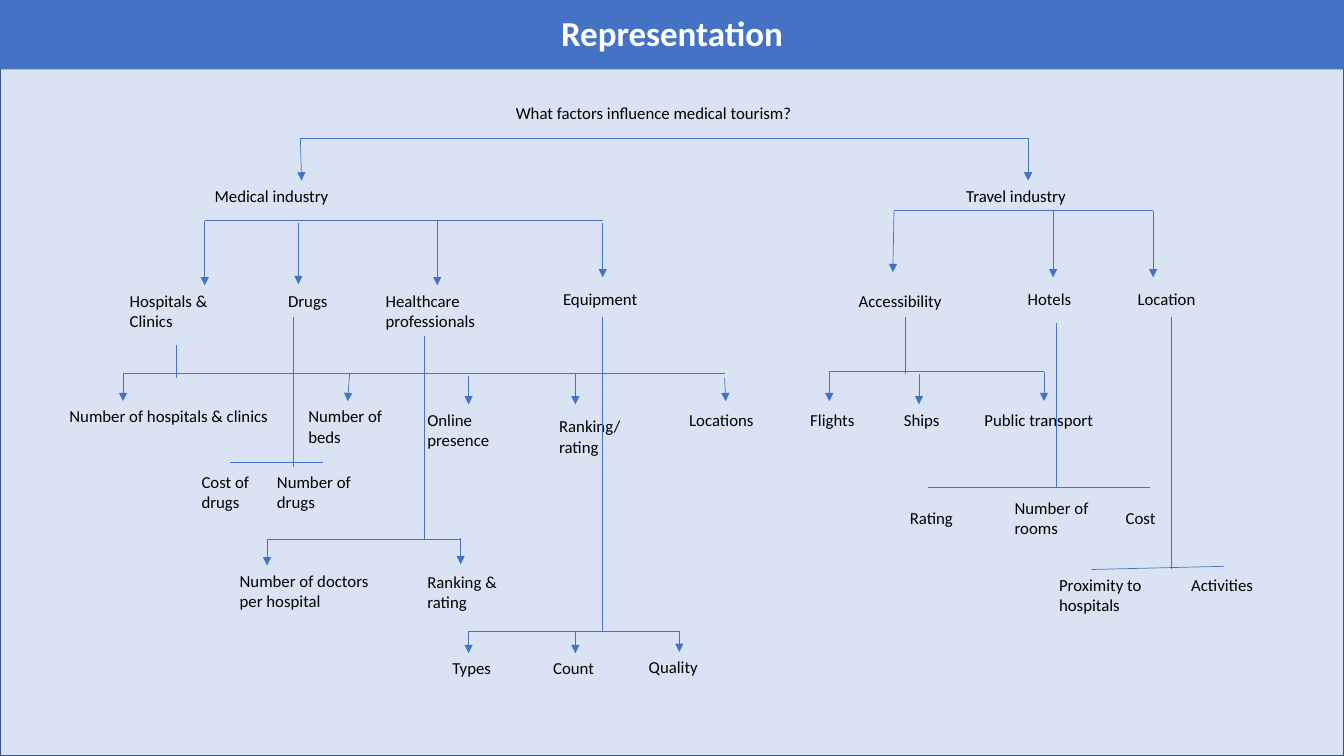
from dataclasses import dataclass
from typing import NamedTuple

from lxml.etree import SubElement
from pptx import Presentation
from pptx.dml.color import RGBColor
from pptx.enum.shapes import MSO_CONNECTOR as Connector, MSO_SHAPE as Preset
from pptx.enum.text import MSO_ANCHOR as Anchor, MSO_AUTO_SIZE as AutoSize, PP_ALIGN as Align
from pptx.oxml.ns import qn
from pptx.util import Cm, Pt


@dataclass(frozen=True)
class Theme:
    font: str = "Calibri"
    title_size: float = 25
    label_size: float = 12
    line_width: float = 0.5
    border_width: float = 1
    accent: str = "4472C4"
    backdrop: str = "DAE3F3"
    border: str = "325491"
    light: str = "FFFFFF"
    dark: str = "000000"


class Label(NamedTuple):
    text: str
    left: float
    top: float
    width: float
    rows: int = 1


class Line(NamedTuple):
    x1: float
    y1: float
    x2: float
    y2: float
    target: str = ""


class Branch(NamedTuple):
    rail: Line
    stem: Line | None = None
    arrows: tuple[Line, ...] = ()


THEME = Theme()
SLIDE_WIDTH, SLIDE_HEIGHT, TITLE_HEIGHT = 33.87, 19.05, 1.75
LABEL_HEIGHTS = {1: 0.76, 2: 1.27}

LABELS = (
    # Question and its two industries
    Label("What factors influence medical tourism?", 12.75, 2.46, 11.07),
    Label("Medical industry", 5.16, 4.55, 4.88),
    Label("Travel industry", 24.1, 4.55, 4.88),
    # Medical factors
    Label("Hospitals & Clinics", 3.02, 7.19, 3.51, 2),
    Label("Drugs", 7.01, 7.19, 2.26),
    Label("Healthcare professionals", 9.47, 7.19, 4.34, 2),
    Label("Equipment", 13.94, 7.16, 3.35),
    # Hospital measures
    Label("Number of hospitals & clinics", 1.5, 10.11, 5.89),
    Label("Number of beds", 7.52, 10.11, 2.84, 2),
    Label("Online presence", 10.52, 10.19, 3.18, 2),
    Label("Ranking/rating", 13.84, 10.36, 2.18, 2),
    Label("Locations", 17.12, 10.19, 2.74),
    # Drug, staff and equipment measures
    Label("Cost of drugs", 4.83, 11.76, 1.88, 2),
    Label("Number of drugs", 6.73, 11.76, 2.84, 2),
    Label("Number of doctors per hospital", 5.79, 14.25, 3.78, 2),
    Label("Ranking & rating", 10.52, 14.27, 3.18, 2),
    Label("Types", 11.15, 16.46, 1.98),
    Label("Count", 13.69, 16.46, 2.39),
    Label("Quality", 16.1, 16.43, 2.39),
    # Travel factors
    Label("Accessibility", 21.39, 7.19, 4.04),
    Label("Hotels", 25.65, 7.16, 2.29),
    Label("Location", 28.42, 7.16, 3),
    # Travel measures
    Label("Flights", 20.17, 10.21, 2.36),
    Label("Ships", 22.53, 10.21, 2.36),
    Label("Public transport", 24.56, 10.21, 3.4),
    Label("Rating", 22.68, 12.67, 2.97),
    Label("Number of rooms", 25.32, 12.42, 2.92, 2),
    Label("Cost", 28.12, 12.67, 1.83),
    Label("Proximity to hospitals", 26.44, 14.35, 3.07, 2),
    Label("Activities", 29.77, 14.35, 3.07),
)

BRANCHES = (
    # Question
    Branch(Line(7.57, 3.48, 25.91, 3.48), arrows=(
        Line(7.57, 3.48, 7.57, 4.55, "Medical industry"),
        Line(25.91, 3.48, 25.91, 4.55))),
    # Medical industry
    Branch(Line(5.16, 5.56, 15.19, 5.56), arrows=(
        Line(5.16, 5.56, 5.16, 7.19), Line(7.52, 5.61, 7.52, 7.16),
        Line(11.02, 5.56, 11.02, 7.19), Line(15.19, 5.61, 15.19, 6.99))),
    # Hospitals & Clinics
    Branch(Line(18.26, 9.42, 3.1, 9.42), Line(4.45, 8.69, 4.45, 9.53), (
        Line(3.1, 9.42, 3.1, 10.11), Line(8.81, 9.42, 8.76, 10.11),
        Line(11.81, 9.47, 11.81, 10.19), Line(14.5, 9.42, 14.5, 10.19),
        Line(18.26, 9.53, 18.29, 10.11))),
    # Drugs
    Branch(Line(5.79, 11.66, 8.15, 11.66), Line(7.39, 7.98, 7.39, 11.76)),
    # Healthcare professionals
    Branch(Line(6.73, 13.59, 11.63, 13.59), Line(10.69, 8.46, 10.69, 13.59), (
        Line(6.73, 13.59, 6.73, 14.25), Line(11.61, 13.56, 11.61, 14.22))),
    # Equipment
    Branch(Line(11.81, 15.9, 17.12, 15.9), Line(15.19, 8, 15.19, 15.9), (
        Line(11.81, 15.9, 11.81, 16.46), Line(14.5, 15.9, 14.5, 16.46),
        Line(17.12, 15.9, 17.12, 16.43))),
    # Travel industry
    Branch(Line(22.53, 5.31, 29.06, 5.31), arrows=(
        Line(22.53, 5.31, 22.5, 6.86), Line(26.54, 5.31, 26.54, 6.99),
        Line(29.06, 5.31, 29.06, 6.99))),
    # Accessibility
    Branch(Line(20.9, 9.37, 26.31, 9.37), Line(22.81, 8, 22.81, 9.42), (
        Line(20.9, 9.37, 20.9, 10.11), Line(23.16, 9.42, 23.16, 10.19),
        Line(26.31, 9.37, 26.31, 10.11))),
    # Hotels
    Branch(Line(23.39, 12.29, 28.98, 12.29), Line(26.62, 8.15, 26.62, 12.29)),
    # Location
    Branch(Line(27.51, 14.35, 30.84, 14.27), Line(29.51, 8, 29.51, 14.33)),
)


def apply_format(item, values: dict) -> None:
    for name, value in values.items():
        setattr(item, name, value)


def write(paragraph, text: str, size: float, color: str, bold: bool = False) -> None:
    run = paragraph.add_run()
    run.text = text
    apply_format(run.font, {"name": THEME.font, "size": Pt(size), "bold": bold})
    run.font.color.rgb = RGBColor.from_string(color)


def add_panel(slide, height: float, fill: str):
    panel = slide.shapes.add_shape(Preset.RECTANGLE, Cm(0), Cm(0), Cm(SLIDE_WIDTH), Cm(height))
    panel.shadow.inherit = False
    panel.fill.solid()
    panel.fill.fore_color.rgb = RGBColor.from_string(fill)
    panel.line.fill.background()
    return panel


def add_label(slide, label: Label):
    box = slide.shapes.add_textbox(Cm(label.left), Cm(label.top), Cm(label.width),
                                   Cm(LABEL_HEIGHTS[label.rows]))
    apply_format(box.text_frame, {"word_wrap": True, "auto_size": AutoSize.SHAPE_TO_FIT_TEXT})
    write(box.text_frame.paragraphs[0], label.text, THEME.label_size, THEME.dark)
    return box


def add_line(slide, line: Line, boxes: dict, arrow: bool = False) -> None:
    link = slide.shapes.add_connector(Connector.STRAIGHT, Cm(line.x1), Cm(line.y1),
                                      Cm(line.x2), Cm(line.y2))
    link.line.width = Pt(THEME.line_width)
    link.line.color.rgb = RGBColor.from_string(THEME.accent)
    properties = link._element.spPr
    if arrow:
        SubElement(properties.find(qn("a:ln")), qn("a:tailEnd"), type="triangle")
    SubElement(properties, qn("a:effectLst"))
    if line.target:
        link.end_connect(boxes[line.target], 0)


def main() -> None:
    deck = Presentation()
    apply_format(deck, {"slide_width": Cm(SLIDE_WIDTH), "slide_height": Cm(SLIDE_HEIGHT)})
    slide = deck.slides.add_slide(deck.slide_layouts[6])

    # Backdrop and title bar
    backdrop = add_panel(slide, SLIDE_HEIGHT, THEME.backdrop)
    backdrop.line.color.rgb = RGBColor.from_string(THEME.border)
    backdrop.line.width = Pt(THEME.border_width)
    title = add_panel(slide, TITLE_HEIGHT, THEME.accent).text_frame
    apply_format(title, {"word_wrap": True, "vertical_anchor": Anchor.MIDDLE})
    apply_format(title.paragraphs[0], {"alignment": Align.CENTER, "line_spacing": 0.9})
    write(title.paragraphs[0], "Representation", THEME.title_size, THEME.light, bold=True)

    # Factor tree
    boxes = {label.text: add_label(slide, label) for label in LABELS}
    for branch in BRANCHES:
        add_line(slide, branch.rail, boxes)
        if branch.stem:
            add_line(slide, branch.stem, boxes)
        for arrow in branch.arrows:
            add_line(slide, arrow, boxes, arrow=True)

    deck.save("out.pptx")


if __name__ == "__main__":
    main()
